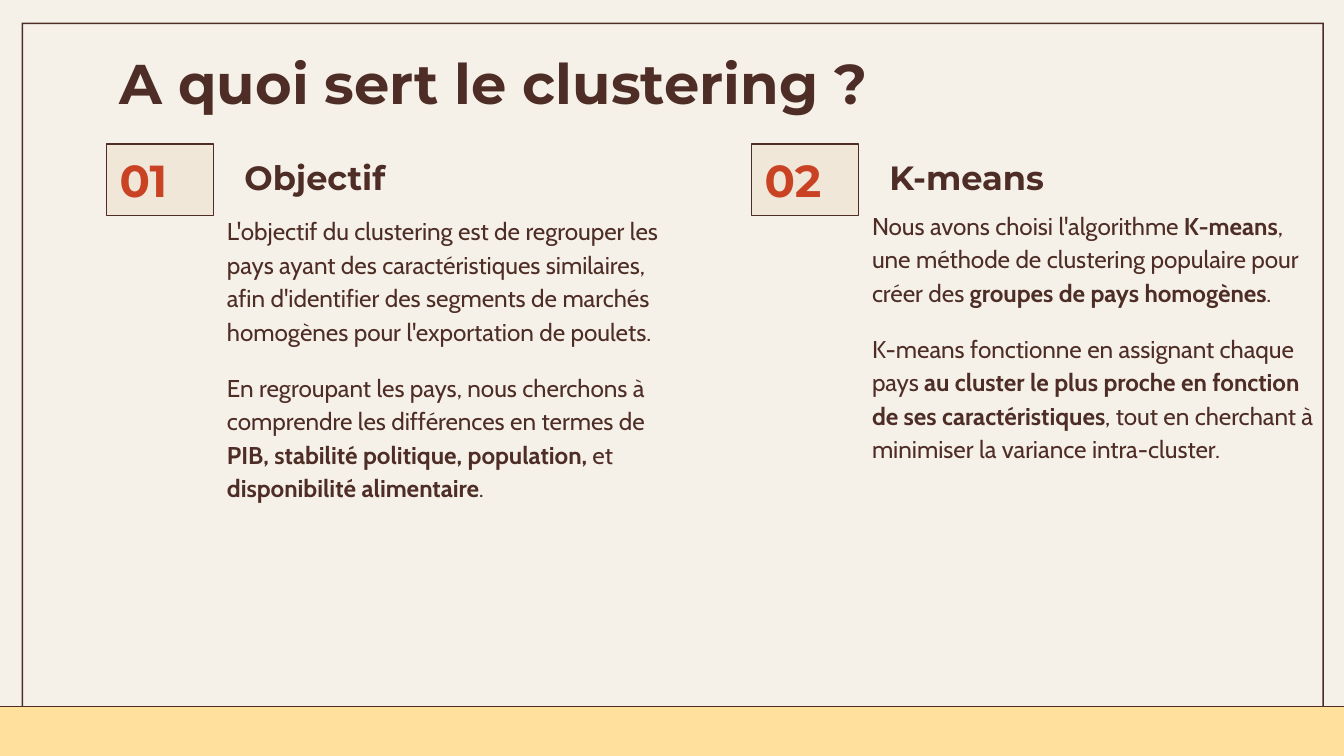
"""Build the slide that explains what clustering is for."""
from dataclasses import dataclass

from pptx import Presentation
from pptx import util as u
from pptx.dml.color import RGBColor
from pptx.enum import shapes, text
from pptx.oxml import parse_xml
from pptx.oxml.ns import nsdecls, qn

COLORS = {"bg": "F5F1E8", "ink": "4E2D26", "band": "FFE09C", "badge": "D49F74", "number": "CA4224"}
FRAME_FORMAT = {"margin_left": u.Cm(0.25), "margin_right": u.Cm(0.25),
                "margin_top": u.Cm(0.25), "margin_bottom": u.Cm(0.25),
                "word_wrap": True, "auto_size": text.MSO_AUTO_SIZE.NONE}
PITCH = 12.19


@dataclass(frozen=True)
class Box:
    left: float
    top: float
    width: float
    height: float

    def emu(self) -> tuple:
        return tuple(u.Cm(v) for v in (self.left, self.top, self.width, self.height))


@dataclass(frozen=True)
class Style:
    font: str
    size: float
    color: str = "ink"
    bold: bool = False
    line_spacing: float = 1.0
    gap: float = 0


@dataclass(frozen=True)
class Topic:
    number: str
    heading: str
    body_top: float
    paragraphs: tuple


TITLE = Style("Montserrat", 30, bold=True)
NUMBER = Style("Montserrat", 24, "number", bold=True)
HEADING = Style("Montserrat", 18, bold=True)
BODY = Style("Cabin", 13, line_spacing=1.15, gap=12)

TOPICS = (
    Topic("01", "Objectif", 3.76, (
        "L'objectif du clustering est de regrouper les pays ayant des caractéristiques similaires, "
        "afin d'identifier des segments de marchés homogènes pour l'exportation de poulets.",
        "En regroupant les pays, nous cherchons à comprendre les différences en termes de "
        "*PIB, stabilité politique, population, *et *disponibilité alimentaire*.")),
    Topic("02", "K-means", 3.66, (
        "Nous avons choisi l'algorithme *K-means*, une méthode de clustering populaire pour "
        "créer des *groupes de pays homogènes*.",
        "K-means fonctionne en assignant chaque pays *au cluster le plus proche en fonction "
        "de ses caractéristiques*, tout en cherchant à minimiser la variance intra-cluster.")),
)


def rgb(name: str) -> RGBColor:
    return RGBColor.from_string(COLORS[name])


def apply(target, values: dict) -> None:
    for name, value in values.items():
        setattr(target, name, value)


def write(sp, paragraphs: tuple, style: Style, anchor=text.MSO_ANCHOR.TOP) -> None:
    """Fill a shape with text in which asterisks switch bold on and off."""
    tf = sp.text_frame
    apply(tf, {**FRAME_FORMAT, "vertical_anchor": anchor})
    for i, content in enumerate(paragraphs):
        p = tf.add_paragraph() if i else tf.paragraphs[0]
        apply(p, {"alignment": text.PP_ALIGN.LEFT, "line_spacing": style.line_spacing,
                  "space_before": u.Pt(style.gap if i else 0), "space_after": u.Pt(0)})
        pPr = p._p.get_or_add_pPr()
        pPr.set("marL", "0")
        pPr.set("indent", "0")
        pPr.append(parse_xml(f"<a:buNone {nsdecls('a')}/>"))
        for j, part in enumerate(content.split("*")):
            r = p.add_run()
            r.text = part
            apply(r.font, {"name": style.font, "size": u.Pt(style.size),
                           "bold": style.bold or j % 2 == 1})
            r.font.color.rgb = rgb(style.color)


def place(sp, box: Box) -> None:
    apply(sp, dict(zip(("left", "top", "width", "height"), box.emu())))


def add_block(s, kind, box: Box, fill: str, outlined: bool = True):
    sp = s.shapes.add_shape(kind, *box.emu())
    sp.shadow.inherit = False
    sp.fill.solid()
    sp.fill.fore_color.rgb = rgb(fill)
    if outlined:
        sp.line.color.rgb = rgb("ink")
        sp.line.width = u.Pt(0.75)
    else:
        sp.line.fill.background()
    return sp


def add_backdrop(s) -> None:
    s.background.fill.solid()
    s.background.fill.fore_color.rgb = rgb("bg")
    border = add_block(s, shapes.MSO_SHAPE.FRAME, Box(0.41, 0.43, 24.61, 13.84), "ink", False)
    border.adjustments[0] = 0.002
    band = add_block(s, shapes.MSO_SHAPE.RECTANGLE, Box(-0.08, 13.36, 25.55, 0.99), "band")
    for sp in (band, border):
        s.shapes._spTree.insert(2, sp._element)


def add_topic(s, topic: Topic, index: int) -> None:
    left = 2.01 + index * PITCH
    badge = add_block(s, shapes.MSO_SHAPE.RECTANGLE, Box(left, 2.72, 2.03, 1.35), "badge")
    color = badge._element.spPr.find(qn("a:solidFill"))[0]
    color.append(parse_xml(f'<a:alpha {nsdecls("a")} val="12000"/>'))
    write(badge, (topic.number,), NUMBER, text.MSO_ANCHOR.MIDDLE)
    heading, body = (s.placeholders[2 * index + k] for k in (1, 2))
    place(heading, Box(left + 2.36, 2.72, 7.67, 1.04))
    write(heading, (topic.heading,), HEADING)
    place(body, Box(left + 2.03, topic.body_top, 8.86, 8.46))
    write(body, topic.paragraphs, BODY)


def main() -> None:
    prs = Presentation()
    prs.slide_width, prs.slide_height = u.Cm(25.4), u.Cm(14.29)
    s = prs.slides.add_slide(prs.slide_layouts.get_by_name("Comparison"))
    add_backdrop(s)
    place(s.shapes.title, Box(2.01, 0.66, 21.41, 1.6))
    write(s.shapes.title, ("A quoi sert le clustering ?",), TITLE)
    for index, topic in enumerate(TOPICS):
        add_topic(s, topic, index)
    prs.save("out.pptx")


if __name__ == "__main__":
    main()
